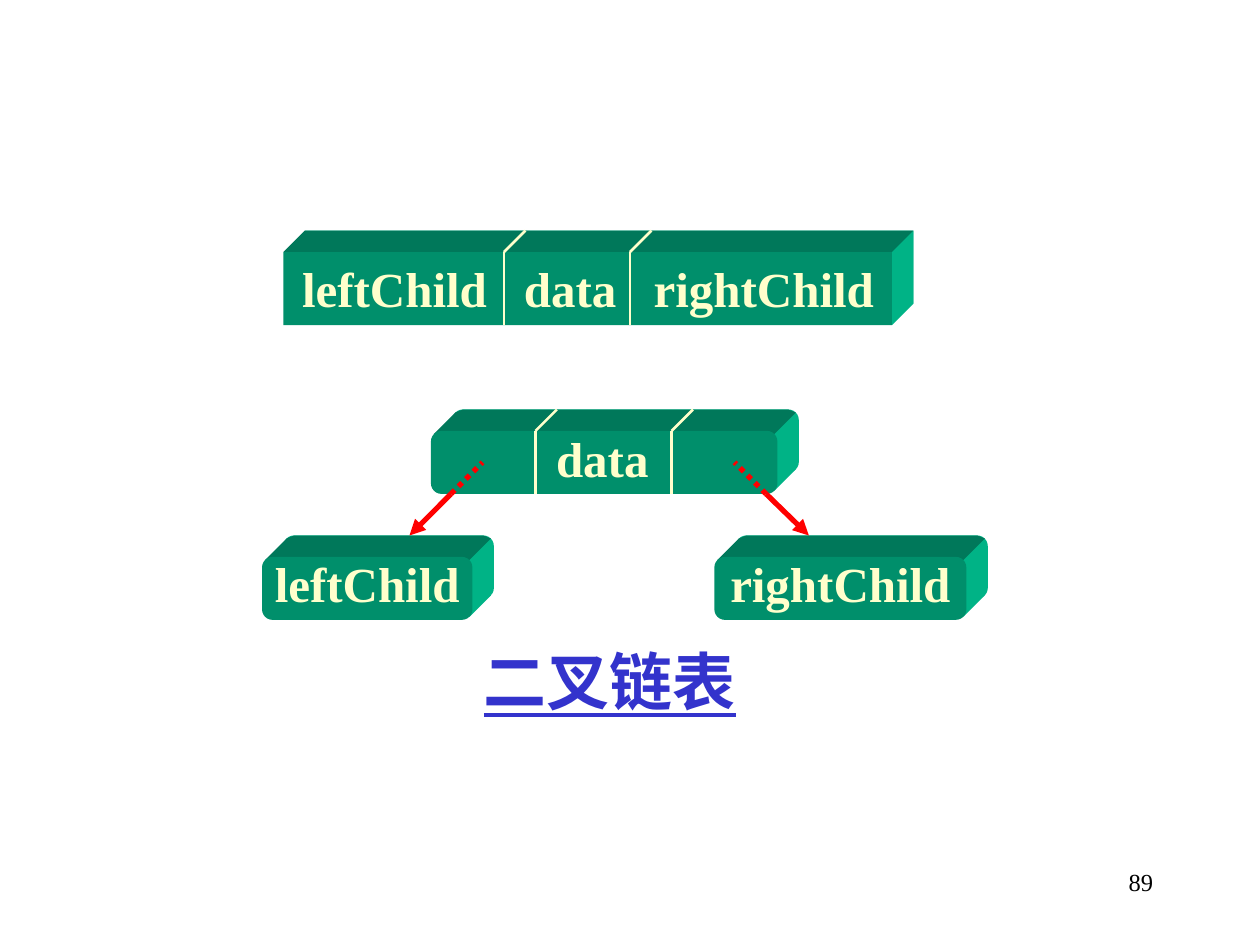
import pptx
import pptx.dml.color
import pptx.enum.dml
import pptx.enum.shapes
import pptx.enum.text
import pptx.oxml
import pptx.oxml.ns
import pptx.util
from pptx.util import Inches

RGB = pptx.dml.color.RGBColor
FRONT = RGB(0x00, 0x8F, 0x6B)
TOP = RGB(0x00, 0x78, 0x5A)
SIDE = RGB(0x00, 0xB3, 0x86)
CREAM = RGB(0xFF, 0xFF, 0xCC)
RED = RGB(0xFF, 0x00, 0x00)
BLUE = RGB(0x33, 0x33, 0xCC)
BLACK = RGB(0x00, 0x00, 0x00)

FONT = "Times New Roman"
DEPTH = 0.17
ROUND = 0.167
ALIGN = pptx.enum.text.PP_ALIGN
ANCHOR = pptx.enum.text.MSO_ANCHOR
KIND = pptx.enum.shapes.MSO_SHAPE


def add_tag(parent, name, **attrs):
    tag = parent.makeelement(pptx.oxml.ns.qn(name), attrs)
    parent.append(tag)
    return tag


def add_text(slide, text, box, size=28, color=CREAM, bold=True, under=False,
             align=ALIGN.CENTER, anchor=ANCHOR.MIDDLE, wrap=False, tabs=()):
    frame = slide.shapes.add_textbox(*map(Inches, box)).text_frame
    frame.word_wrap = wrap
    frame.vertical_anchor = anchor
    para = frame.paragraphs[0]
    para.alignment = align
    if tabs:
        stops = add_tag(para._p.get_or_add_pPr(), "a:tabLst")
        for pos in tabs:
            add_tag(stops, "a:tab", pos=str(Inches(pos)), algn="l")
    run = para.add_run()
    run.text = text
    font = run.font
    font.name, font.size = FONT, pptx.util.Pt(size)
    font.bold, font.underline = bold, under
    font.color.rgb = color


def add_line(slide, start, end, color=CREAM, width=1.5, dots=False, arrow=False):
    line = slide.shapes.add_connector(
        pptx.enum.shapes.MSO_CONNECTOR.STRAIGHT, *map(Inches, start + end))
    line.line.color.rgb = color
    line.line.width = pptx.util.Pt(width)
    if dots:
        line.line.dash_style = pptx.enum.dml.MSO_LINE.ROUND_DOT
    if arrow:
        add_tag(line.line._get_or_add_ln(), "a:tailEnd", type="triangle")
    add_tag(line._element.spPr, "a:effectLst")


def paint(shape, color):
    shape.shadow.inherit = False
    shape.fill.solid()
    shape.fill.fore_color.rgb = color
    shape.line.fill.background()


def add_face(slide, points, color):
    pts = [(Inches(x), Inches(y)) for x, y in points]
    path = slide.shapes.build_freeform(*pts[0])
    path.add_line_segments(pts[1:], close=True)
    paint(path.convert_to_shape(), color)


def add_block(slide, box, bend=ROUND, cuts=()):
    """Solid block whose front face fills the box; cuts are offsets from its left."""
    x, y, w, h = box
    inset = bend * h * 0.29  # where a 45 degree edge touches the rounded corner
    left, right = x + inset, x + w - inset
    high, low = y + inset, y + h - inset

    def add_rect(dx, dy, color):
        kind = KIND.ROUNDED_RECTANGLE if bend else KIND.RECTANGLE
        rect = slide.shapes.add_shape(
            kind, Inches(x + dx), Inches(y + dy), Inches(w), Inches(h))
        if bend:
            rect.adjustments[0] = bend
        paint(rect, color)

    # Back, side, top and front
    add_rect(DEPTH, -DEPTH, SIDE)
    add_face(slide, [(right, high), (right + DEPTH, high - DEPTH),
                     (right + DEPTH, low - DEPTH), (right, low)], SIDE)
    add_face(slide, [(left, high), (left + DEPTH, high - DEPTH),
                     (x + bend * h + DEPTH, y - DEPTH),
                     (x + w - bend * h + DEPTH, y - DEPTH),
                     (right + DEPTH, high - DEPTH), (right, high)], TOP)
    add_rect(0, 0, FRONT)

    # Field dividers
    for cut in cuts:
        add_line(slide, (x + cut, y + h), (x + cut, y))
        add_line(slide, (x + cut, y), (x + cut + DEPTH, y - DEPTH))


def add_record(slide, box):
    """Node layout with its three named fields."""
    x, y, w, h = box
    add_block(slide, box, bend=0, cuts=(1.75, 2.75))
    add_text(slide, "leftChild\tdata\trightChild", (x + 0.05, y, w - 0.09, 0.57),
             align=ALIGN.LEFT, tabs=(1.76, 2.79))


def add_child(slide, text, box):
    x, y, w, h = box
    add_block(slide, box)
    add_text(slide, text, (x, y - 0.08, w, 0.57))


def add_tree(slide, box):
    """Parent node over two children, joined by pointers."""
    x, y, w, h = box
    add_block(slide, (x + 1.34, y, 2.75, 0.5), cuts=(0.83, 1.91))
    add_text(slide, "data", (x + 2.23, y - 0.07, 0.94, 0.57))
    add_child(slide, "leftChild", (x, y + 1, 1.67, 0.5))
    add_child(slide, "rightChild", (x + w - 2, y + 1, 2, 0.5))

    # Pointers: dotted inside the parent, solid outside
    for inner, edge, tip in ((1.75, 1.5, 1.17), (3.75, 4, 4.34)):
        add_line(slide, (x + edge, y + 0.5), (x + inner, y + 0.25),
                 RED, 3, dots=True)
        add_line(slide, (x + edge, y + 0.5), (x + tip, y + 0.83),
                 RED, 3, arrow=True)


def main():
    deck = pptx.Presentation()
    deck.slide_width, deck.slide_height = Inches(10), Inches(7.5)
    slide = deck.slides.add_slide(deck.slide_layouts[6])
    add_record(slide, (2.25, 2, 4.83, 0.58))
    add_tree(slide, (2.08, 3.42, 5.59, 1.5))
    # Caption and page number
    add_text(slide, "二叉链表", (3.66, 5.05, 2.36, 0.7), size=36, color=BLUE,
             under=True, wrap=True)
    add_text(slide, "89", (7.17, 6.83, 2.08, 0.5), size=14, color=BLACK,
             bold=False, align=ALIGN.RIGHT, anchor=ANCHOR.TOP, wrap=True)
    deck.save("out.pptx")


if __name__ == "__main__":
    main()
